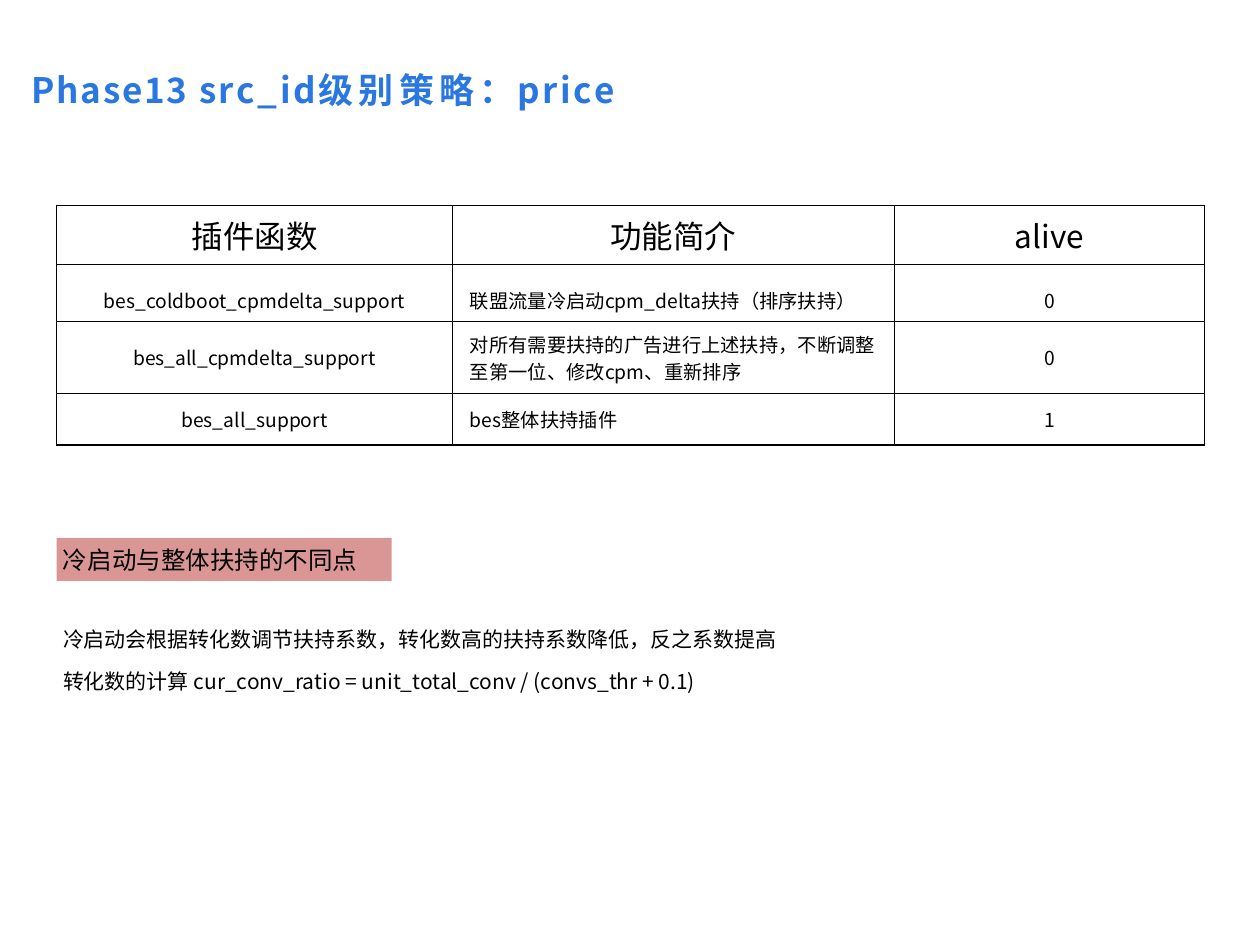
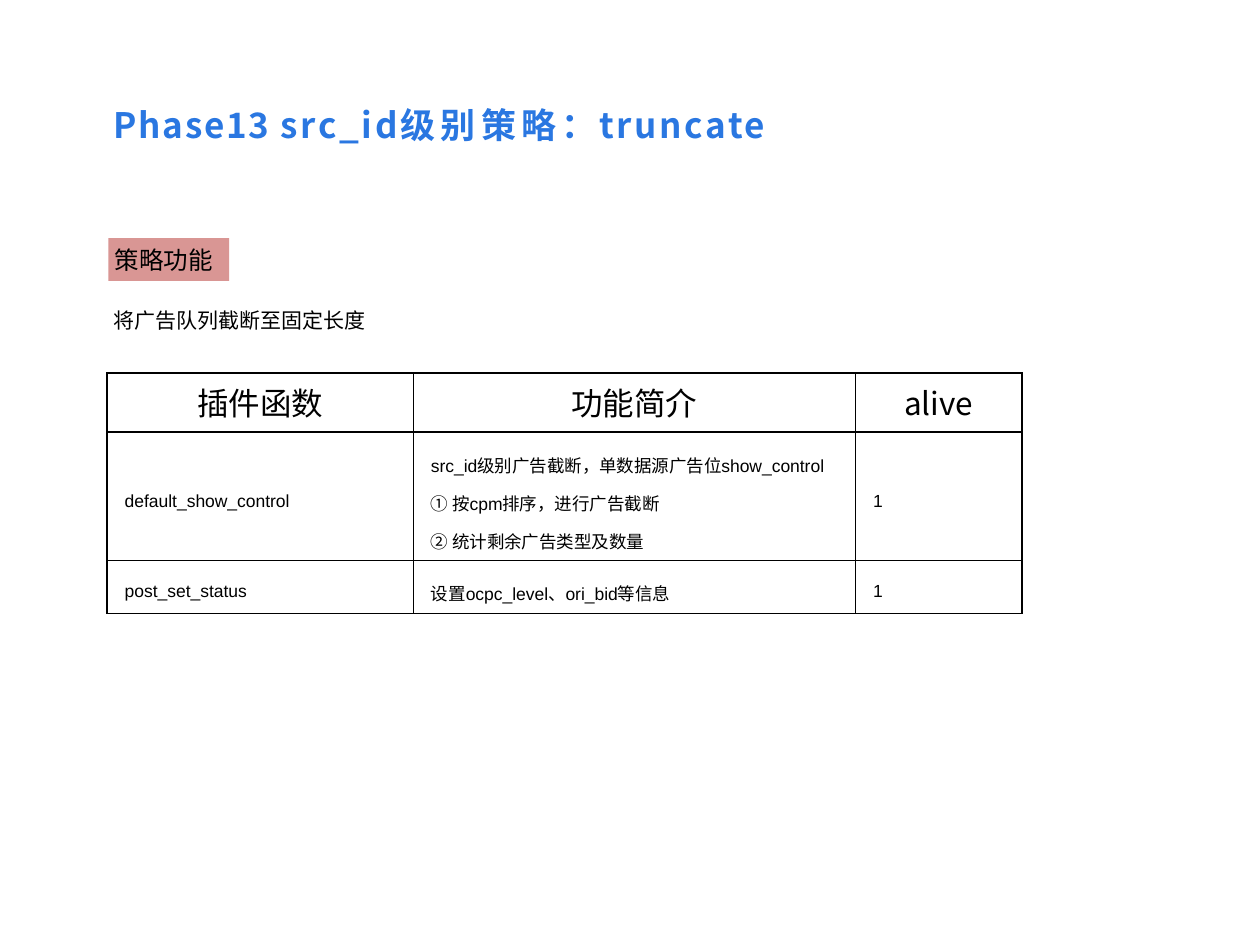
from dataclasses import dataclass

from pptx import Presentation
from pptx.dml.color import RGBColor
from pptx.enum.shapes import MSO_SHAPE as Preset
from pptx.enum.text import MSO_ANCHOR as Anchor, PP_ALIGN as Align
from pptx.oxml.ns import qn
from pptx.slide import Slide
from pptx.text.text import TextFrame, _Paragraph as Paragraph
from pptx.util import Inches, Pt
from lxml.etree import SubElement

BLACK = RGBColor(0x00, 0x00, 0x00)
WHITE = RGBColor(0xFF, 0xFF, 0xFF)
TITLE_BLUE = RGBColor(0x2A, 0x77, 0xE1)
LABEL_PINK = RGBColor(0xD9, 0x96, 0x94)
CJK_FONT = "Noto Sans CJK SC"
HEADINGS = ("插件函数", "功能简介", "alive")
CENTERED = (Align.CENTER, Align.LEFT, Align.CENTER)
ALL_LEFT = (Align.LEFT,) * 3
HEADER_HEIGHT = 0.47

TITLE_FORMAT = {"size": Pt(20), "bold": True, "name": CJK_FONT}
LABEL_FORMAT = {"size": Pt(14), "name": CJK_FONT}
BODY_FORMAT = {"size": Pt(12), "name": CJK_FONT}
HEADER_FORMAT = {"size": Pt(18), "name": CJK_FONT}
CELL_MARGINS = {"margin_left": 0.14, "margin_right": 0.14, "margin_top": 0.06, "margin_bottom": 0.06}
BOX_MARGINS = dict.fromkeys(CELL_MARGINS, 0.05)


@dataclass(frozen=True)
class Box:
    """Place and size in inches."""
    left: float
    top: float
    width: float
    height: float

    def lengths(self) -> tuple:
        """Return the four lengths for python-pptx."""
        return tuple(Inches(value) for value in (self.left, self.top, self.width, self.height))


@dataclass(frozen=True)
class TextBlock:
    """Text lines in a box."""
    box: Box
    lines: tuple[str, ...]
    line_spacing: float = 1.0


@dataclass(frozen=True)
class PluginRow:
    """One plugin function with its description lines."""
    height: float
    function: str
    summary: tuple[str, ...]
    alive: str
    line_spacing: float = 1.0


@dataclass(frozen=True)
class PluginTable:
    """Table of plugin functions."""
    left: float
    top: float
    columns: tuple[float, ...]
    rows: tuple[PluginRow, ...]
    alignments: tuple
    font_format: dict


@dataclass(frozen=True)
class StrategySlide:
    """Everything that one strategy slide shows."""
    name: str
    title_box: Box
    label: TextBlock
    body: TextBlock
    table: PluginTable


SLIDES = (
    StrategySlide(
        "price",
        Box(0.2, 0.49, 7.25, 0.44),
        TextBlock(Box(0.45, 4.27, 2.66, 0.34), ("冷启动与整体扶持的不同点",)),
        TextBlock(
            Box(0.45, 4.79, 6.88, 0.91),
            (
                "冷启动会根据转化数调节扶持系数，转化数高的扶持系数降低，反之系数提高",
                "转化数的计算 cur_conv_ratio = unit_total_conv / (convs_thr + 0.1)",
            ),
            1.67,
        ),
        PluginTable(
            0.45, 1.63, (3.14, 3.51, 2.46),
            (
                PluginRow(0.45, "bes_coldboot_cpmdelta_support",
                          ("联盟流量冷启动cpm_delta扶持（排序扶持）",), "0", 1.5),
                PluginRow(0.57, "bes_all_cpmdelta_support",
                          ("对所有需要扶持的广告进行上述扶持，不断调整至第一位、修改cpm、重新排序",), "0"),
                PluginRow(0.41, "bes_all_support", ("bes整体扶持插件",), "1"),
            ),
            CENTERED,
            {"size": Pt(11), "name": CJK_FONT},
        ),
    ),
    StrategySlide(
        "truncate",
        Box(0.85, 0.77, 7.25, 0.44),
        TextBlock(Box(0.86, 1.89, 0.96, 0.34), ("策略功能",)),
        TextBlock(Box(0.85, 2.34, 4.44, 0.4), ("将广告队列截断至固定长度",), 1.25),
        PluginTable(
            0.85, 2.96, (2.43, 3.51, 1.32),
            (
                PluginRow(1.02, "default_show_control",
                          ("src_id级别广告截断，单数据源广告位show_control",
                           "① 按cpm排序，进行广告截断",
                           "② 统计剩余广告类型及数量"), "1", 1.5),
                PluginRow(0.42, "post_set_status", ("设置ocpc_level、ori_bid等信息",), "1", 1.5),
            ),
            ALL_LEFT,
            {"size": Pt(10), "name": "Arial"},
        ),
    ),
)


def add_run(paragraph: Paragraph, text: str, font_format: dict,
            color: RGBColor = BLACK, spacing: float = 0) -> None:
    """Add a run with its font, colour and letter spacing in points."""
    run = paragraph.add_run()
    run.text = text
    for name, value in font_format.items():
        setattr(run.font, name, value)
    run.font.color.rgb = color
    properties = run._r.get_or_add_rPr()
    SubElement(properties, qn("a:ea"), typeface=CJK_FONT)
    if spacing:
        properties.set("spc", str(round(spacing * 100)))


def write_lines(frame: TextFrame, lines: tuple[str, ...], font_format: dict,
                alignment: Align = Align.LEFT, line_spacing: float = 1.0) -> None:
    """Write one paragraph for each line."""
    for index, line in enumerate(lines):
        paragraph = frame.add_paragraph() if index else frame.paragraphs[0]
        paragraph.alignment = alignment
        paragraph.line_spacing = line_spacing
        add_run(paragraph, line, font_format)


def prepare_frame(frame: TextFrame, anchor: Anchor) -> None:
    """Set wrapping, anchor and margins of a box."""
    frame.word_wrap = True
    frame.vertical_anchor = anchor
    for name, value in BOX_MARGINS.items():
        setattr(frame, name, Inches(value))


def draw_title(slide: Slide, box: Box, name: str) -> None:
    """Draw the slide title with the strategy name."""
    frame = slide.shapes.add_textbox(*box.lengths()).text_frame
    prepare_frame(frame, Anchor.MIDDLE)
    pieces = (("Phase13 ", 1), ("src_id", 1.5), ("级别策略", 3), (f"：{name}", 1.5))
    for text, spacing in pieces:
        add_run(frame.paragraphs[0], text, TITLE_FORMAT, TITLE_BLUE, spacing)


def draw_label(slide: Slide, label: TextBlock) -> None:
    """Draw a section label on a pink rectangle."""
    shape = slide.shapes.add_shape(Preset.RECTANGLE, *label.box.lengths())
    shape.shadow.inherit = False
    shape.fill.solid()
    shape.fill.fore_color.rgb = LABEL_PINK
    shape.line.fill.background()
    prepare_frame(shape.text_frame, Anchor.MIDDLE)
    write_lines(shape.text_frame, label.lines, LABEL_FORMAT)


def draw_body(slide: Slide, body: TextBlock) -> None:
    """Draw the explanatory text."""
    frame = slide.shapes.add_textbox(*body.box.lengths()).text_frame
    prepare_frame(frame, Anchor.TOP)
    write_lines(frame, body.lines, BODY_FORMAT, line_spacing=body.line_spacing)


def style_cell(cell) -> None:
    """Give a cell thin black borders and a white fill."""
    properties = cell._tc.get_or_add_tcPr()
    for side in ("lnL", "lnR", "lnT", "lnB"):
        border = SubElement(properties, qn(f"a:{side}"), w=str(Pt(1)))
        fill = SubElement(border, qn("a:solidFill"))
        SubElement(fill, qn("a:srgbClr"), val=str(BLACK))
    cell.fill.solid()
    cell.fill.fore_color.rgb = WHITE


def draw_table(slide: Slide, plugins: PluginTable) -> None:
    """Draw the plugin table with its heading row."""
    heights = (HEADER_HEIGHT, *(row.height for row in plugins.rows))
    box = Box(plugins.left, plugins.top, sum(plugins.columns), sum(heights))
    table = slide.shapes.add_table(len(heights), len(plugins.columns), *box.lengths()).table
    table.first_row = table.horz_banding = False
    for column, width in zip(table.columns, plugins.columns):
        column.width = Inches(width)
    for row, height in zip(table.rows, heights):
        row.height = Inches(height)
    for cell in table.iter_cells():
        style_cell(cell)
    for cell, heading in zip(table.rows[0].cells, HEADINGS):
        write_lines(cell.text_frame, (heading,), HEADER_FORMAT, Align.CENTER)
    for index, plugin in enumerate(plugins.rows, start=1):
        contents = ((plugin.function,), plugin.summary, (plugin.alive,))
        for cell, lines, alignment in zip(table.rows[index].cells, contents, plugins.alignments):
            cell.vertical_anchor = Anchor.MIDDLE
            for name, value in CELL_MARGINS.items():
                setattr(cell, name, Inches(value))
            write_lines(cell.text_frame, lines, plugins.font_format, alignment, plugin.line_spacing)


def main() -> None:
    """Build and save the presentation."""
    presentation = Presentation()
    presentation.slide_width = Inches(10)
    presentation.slide_height = Inches(7.5)
    for content in SLIDES:
        slide = presentation.slides.add_slide(presentation.slide_layouts[6])
        draw_table(slide, content.table)
        draw_title(slide, content.title_box, content.name)
        draw_label(slide, content.label)
        draw_body(slide, content.body)
    presentation.save("out.pptx")


if __name__ == "__main__":
    main()
